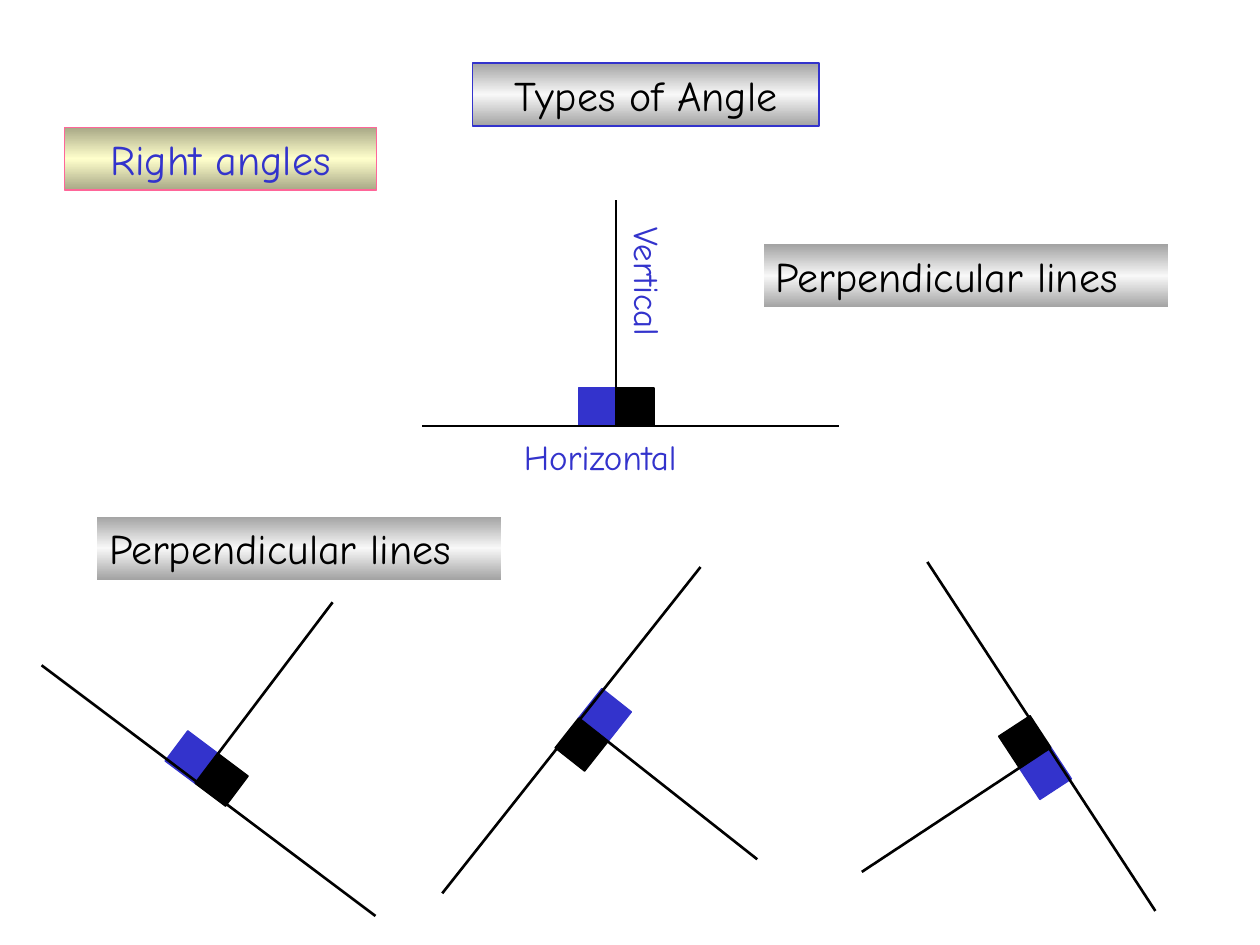
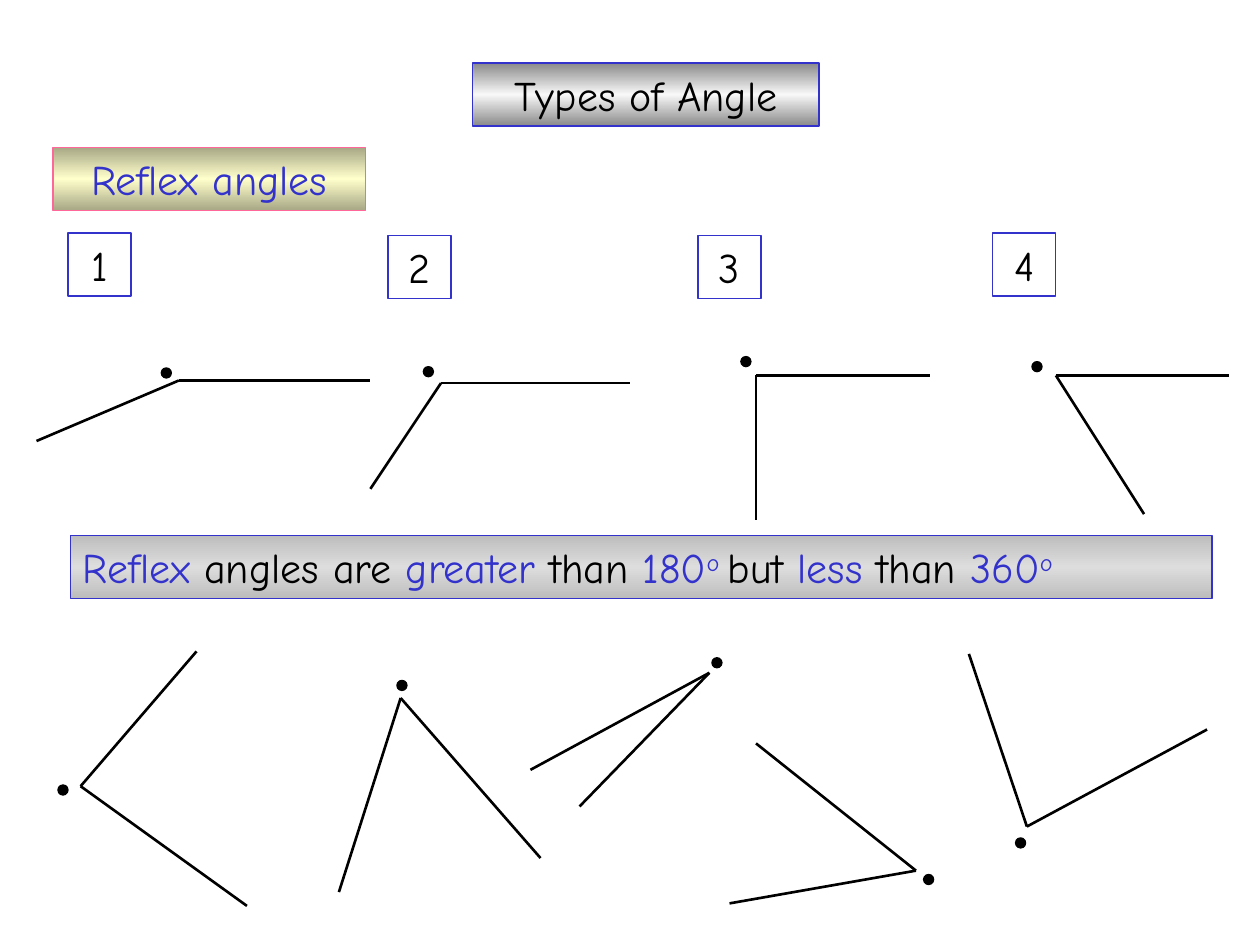
"""Build two slides on types of angle: right angles and reflex angles."""
import copy
import math

import pptx
import pptx.dml.color
import pptx.enum.shapes
import pptx.enum.text
import pptx.oxml.ns
import pptx.util
from lxml import etree

Inches, Pt = pptx.util.Inches, pptx.util.Pt
SHAPES = pptx.enum.shapes.MSO_SHAPE
ALIGN = pptx.enum.text.PP_ALIGN
qn = pptx.oxml.ns.qn

FONT = "Comic Neue"
COLOURS = {"black": "000000", "blue": "3333CC", "pink": "FF6699"}
GRADIENTS = {
    "grey": ("A3A3A3", "F8F8F8"),
    "dark grey": ("8A8A8A", "F8F8F8"),
    "pale grey": ("BDBDBD", "DDDDDD"),
    "cream": ("A8A886", "FFFFCC"),
}
FRAME_FORMAT = {
    "word_wrap": True,
    "vertical_anchor": pptx.enum.text.MSO_ANCHOR.TOP,
    "margin_left": Inches(0.1),
    "margin_right": Inches(0.1),
    "margin_top": Inches(0.05),
    "margin_bottom": Inches(0.05),
}

BOX_HEIGHT, NUMBER_SIZE, SQUARE, DOT = 0.5, 0.5, 0.3, 0.08
TITLE = ("Types of Angle", (3.75, 0.5))
TITLE_WIDTH, TOPIC_WIDTH, NOTE_WIDTH = 2.75, 2.48, 3.21

RIGHT_TOPIC = ("Right angles", (0.51, 1.01))
PERPENDICULAR = ("Perpendicular lines", [(6.06, 1.94), (0.77, 4.1)])
LINE_LABELS = [
    ("Vertical", (4.46, 2.17, 1.36, 0.44), 89.7),
    ("Horizontal", (4.06, 3.41, 1.67, 0.44), 0),
]
RIGHT_ANGLES = [
    {"foot": (4.89, 3.38), "turn": 0, "tip": (4.89, 1.59), "base": [(3.35, 3.38), (6.66, 3.38)]},
    {"foot": (1.55, 6.22), "turn": 36.9, "tip": (2.64, 4.78), "base": [(0.33, 5.28), (2.98, 7.27)]},
    {"foot": (4.59, 5.7), "turn": 128.3, "tip": (6.01, 6.82), "base": [(5.56, 4.5), (3.51, 7.09)]},
    {"foot": (8.34, 5.93), "turn": 236.8, "tip": (6.84, 6.92), "base": [(9.17, 7.23), (7.36, 4.46)]},
]

REFLEX_TOPIC = ("Reflex angles", (0.42, 1.17))
NUMBERS = [("1", (0.54, 1.85)), ("2", (3.08, 1.87)), ("3", (5.54, 1.87)), ("4", (7.88, 1.85))]
RULE_AT = (0.56, 4.25, 9.06)
RULE = [
    ("Reflex", "blue"), (" angles are ", "black"), ("greater", "blue"), (" than ", "black"),
    ("180", "blue"), ("o ", "blue", True), ("but", "black"), (" less ", "blue"),
    ("than", "black"), (" 360", "blue"), ("o", "blue", True),
]
REFLEX_ANGLES = [
    {"vertex": (1.42, 3.02), "ends": [(2.94, 3.02), (0.29, 3.5)], "dot": (1.32, 2.96)},
    {"vertex": (3.5, 3.04), "ends": [(5, 3.04), (2.94, 3.88)], "dot": (3.4, 2.95)},
    {"vertex": (6, 2.98), "ends": [(7.38, 2.98), (6, 4.13)], "dot": (5.92, 2.87)},
    {"vertex": (8.38, 2.98), "ends": [(9.75, 2.98), (9.08, 4.08)], "dot": (8.23, 2.91)},
    {"vertex": (0.64, 6.24), "ends": [(1.96, 7.19), (1.56, 5.17)], "dot": (0.5, 6.27)},
    {"vertex": (3.18, 5.54), "ends": [(2.69, 7.08), (4.29, 6.81)], "dot": (3.19, 5.44)},
    {"vertex": (5.63, 5.34), "ends": [(4.21, 6.11), (4.6, 6.4)], "dot": (5.69, 5.26)},
    {"vertex": (7.27, 6.91), "ends": [(6, 5.9), (5.79, 7.17)], "dot": (7.37, 6.98)},
    {"vertex": (8.15, 6.56), "ends": [(9.58, 5.79), (7.69, 5.19)], "dot": (8.1, 6.69)},
]


def rgb(name):
    return pptx.dml.color.RGBColor.from_string(COLOURS.get(name, name))


def write(shape, runs, size=24, align=ALIGN.LEFT):
    for key, value in FRAME_FORMAT.items():
        setattr(shape.text_frame, key, value)
    paragraph = shape.text_frame.paragraphs[0]
    paragraph.alignment = align
    for words, colour, *raised in runs:
        run = paragraph.add_run()
        run.text = words
        for key, value in {"name": FONT, "size": Pt(size)}.items():
            setattr(run.font, key, value)
        run.font.color.rgb = rgb(colour)
        if raised:
            run.font._element.set("baseline", "30000")


def add_block(slide, kind, at, border):
    block = slide.shapes.add_shape(kind, *map(Inches, at))
    block.shadow.inherit = False
    block.fill.background()
    if border:
        block.line.color.rgb = rgb(border)
        block.line.width = Pt(0.75)
    else:
        block.line.fill.background()
    return block


def shade(block, gradient):
    edge, middle = GRADIENTS[gradient]
    block.fill.gradient()
    block.fill.gradient_angle = 90
    stop_list = block._element.spPr.find(qn("a:gradFill")).find(qn("a:gsLst"))
    stop_list.append(copy.deepcopy(stop_list[0]))
    for stop, position, colour in zip(block.fill.gradient_stops, (0, 0.5, 1), (edge, middle, edge)):
        stop.position = position
        stop.color.rgb = rgb(colour)


def add_box(slide, place, width, runs, gradient=None, border=None, align=ALIGN.CENTER):
    box = add_block(slide, SHAPES.RECTANGLE, (*place, width, BOX_HEIGHT), border)
    if gradient:
        shade(box, gradient)
    write(box, runs, align=align)


def add_mark(slide, kind, centre, size, colour, turn=0):
    x, y = centre
    mark = add_block(slide, kind, (x - size / 2, y - size / 2, size, size), colour)
    mark.fill.solid()
    mark.fill.fore_color.rgb = rgb(colour)
    mark.rotation = turn


def add_line(slide, start, end):
    line = slide.shapes.add_connector(
        pptx.enum.shapes.MSO_CONNECTOR.STRAIGHT, *map(Inches, (*start, *end)))
    line.line.color.rgb = rgb("black")
    line.line.width = Pt(1.5)
    etree.SubElement(line._element.spPr, qn("a:effectLst"))


def add_right_angle(slide, angle):
    x, y = angle["foot"]
    turn = math.radians(angle["turn"])
    across, down = SQUARE / 2 * math.cos(turn), SQUARE / 2 * math.sin(turn)
    for side, colour in ((1, "black"), (-1, "blue")):
        centre = (x + side * across + down, y + side * down - across)
        add_mark(slide, SHAPES.RECTANGLE, centre, SQUARE, colour, angle["turn"])
    add_line(slide, angle["foot"], angle["tip"])
    add_line(slide, *angle["base"])


def add_reflex_angle(slide, angle):
    for end in angle["ends"]:
        add_line(slide, angle["vertex"], end)
    add_mark(slide, SHAPES.OVAL, angle["dot"], DOT, "black")


def add_topic_slide(deck, topic, title_gradient):
    slide = deck.slides.add_slide(deck.slide_layouts[6])
    title, title_place = TITLE
    add_box(slide, title_place, TITLE_WIDTH, [(title, "black")], title_gradient, "blue")
    name, place = topic
    add_box(slide, place, TOPIC_WIDTH, [(name, "blue")], "cream", "pink")
    return slide


def build_right_angles(deck):
    slide = add_topic_slide(deck, RIGHT_TOPIC, "grey")
    for angle in RIGHT_ANGLES:
        add_right_angle(slide, angle)
    for words, at, turn in LINE_LABELS:
        label = slide.shapes.add_textbox(*map(Inches, at))
        label.rotation = turn
        write(label, [(words, "blue")], size=20)
    note, places = PERPENDICULAR
    for place in places:
        add_box(slide, place, NOTE_WIDTH, [(note, "black")], "grey", align=ALIGN.LEFT)


def build_reflex_angles(deck):
    slide = add_topic_slide(deck, REFLEX_TOPIC, "dark grey")
    for angle in REFLEX_ANGLES:
        add_reflex_angle(slide, angle)
    *place, width = RULE_AT
    add_box(slide, place, width, RULE, "pale grey", "blue", ALIGN.LEFT)
    for number, place in NUMBERS:
        add_box(slide, place, NUMBER_SIZE, [(number, "black")], border="blue")


def main():
    deck = pptx.Presentation()
    deck.slide_width, deck.slide_height = Inches(10), Inches(7.5)
    build_right_angles(deck)
    build_reflex_angles(deck)
    deck.save("out.pptx")


if __name__ == "__main__":
    main()
